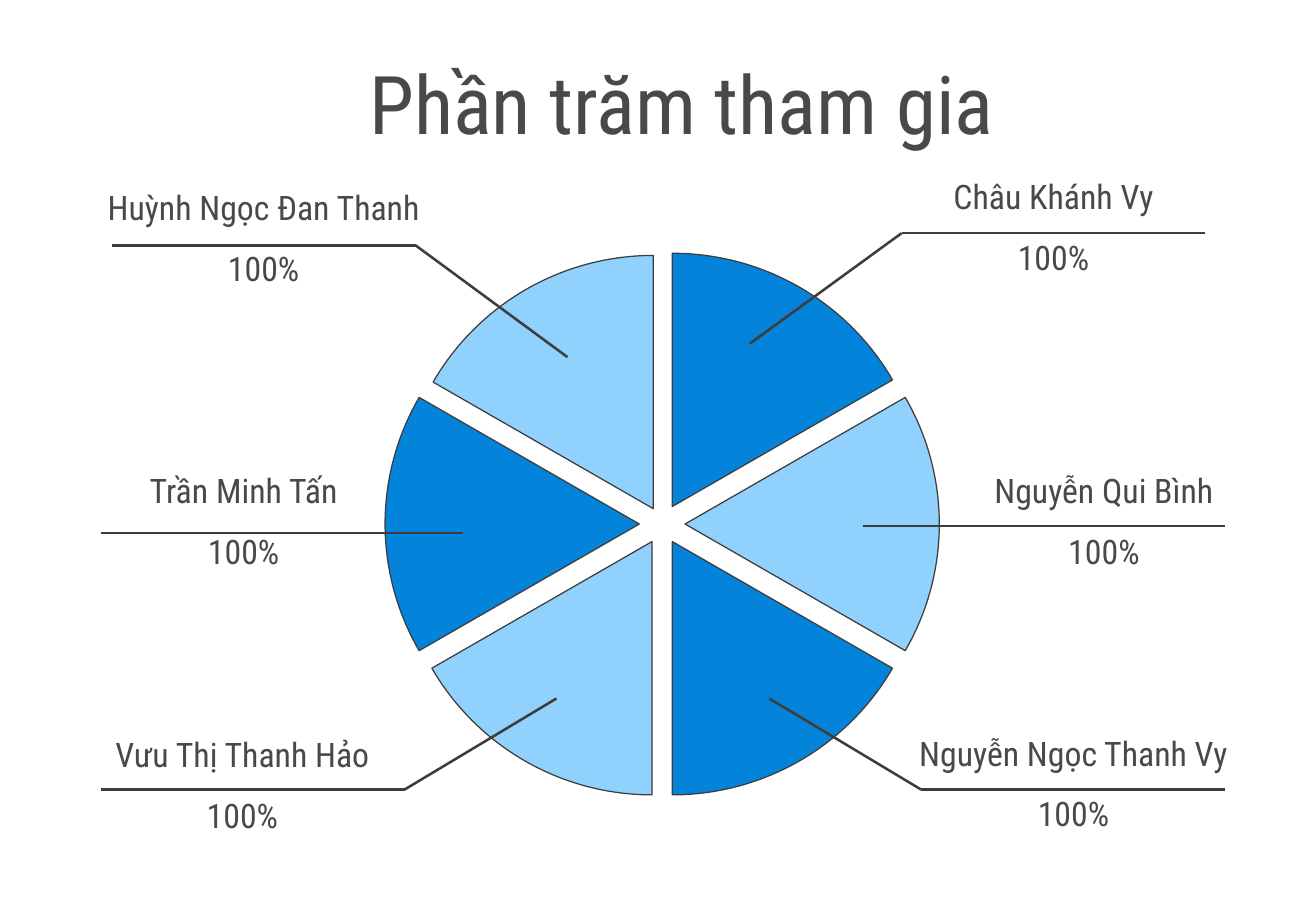
from lxml.etree import SubElement
from pptx import Presentation
from pptx.chart.data import CategoryChartData
from pptx.dml.color import RGBColor
from pptx.enum.chart import XL_CHART_TYPE
from pptx.enum.shapes import MSO_CONNECTOR
from pptx.enum.text import MSO_ANCHOR, PP_ALIGN
from pptx.oxml import parse_xml
from pptx.oxml.ns import nsdecls, qn
from pptx.util import Inches, Pt

GREY = RGBColor(0x49, 0x49, 0x49)
DARK = RGBColor(0x3D, 0x3D, 0x3D)
BLUE = RGBColor(0x03, 0x83, 0xD9)
SKY = RGBColor(0x90, 0xD1, 0xFD)

NAMES = [
    ("Trần Minh Tấn", 0.83, 3.75, 2.35),
    ("Nguyễn Qui Bình", 7.83, 3.75, 2.51),
    ("Nguyễn Ngọc Thanh Vy", 7.37, 5.91, 2.93),
    ("Châu Khánh Vy", 7.33, 1.33, 2.68),
    ("Huỳnh Ngọc Đan Thanh", 0.71, 1.42, 2.92),
    ("Vưu Thị Thanh Hảo", 0.57, 5.92, 2.85),
]
LEADS = [
    [(6.17, 2.83), (7.42, 1.92), (9.92, 1.92)],
    [(6.33, 5.75), (7.58, 6.5), (10.08, 6.5)],
    [(7.1, 4.33), (10.08, 4.33)],
    [(4.67, 2.94), (3.42, 2.02), (0.92, 2.02)],
    [(4.58, 5.75), (3.33, 6.5), (0.83, 6.5)],
    [(3.81, 4.39), (0.83, 4.39)],
]
BURSTS = [8, 9, 8, 8, 9, 7]
PLOT = {"x": 0.19, "y": 0.03, "w": 0.62, "h": 0.93}


class Page:
    """Draws each kind of element on one slide in a shared style."""

    def __init__(self, slide, font="Roboto Condensed"):
        self.slide = slide
        self.font = font

    def text(self, lines, left, top, width, size, gap=0, anchor=MSO_ANCHOR.TOP):
        box = self.slide.shapes.add_textbox(
            Inches(left), Inches(top), Inches(width), Inches(0.84))
        frame = box.text_frame
        frame.word_wrap = True
        frame.vertical_anchor = anchor
        frame.margin_left = frame.margin_right = Inches(0.12)
        frame.margin_top = frame.margin_bottom = Inches(0.12)
        frame.text = "\n".join(lines)
        for para in frame.paragraphs:
            para.alignment = PP_ALIGN.CENTER
            para.space_before = para.space_after = Pt(gap)
            para.font.name = self.font
            para.font.size = Pt(size)
            para.font.color.rgb = GREY

    def pie(self, left, top, width, height):
        data = CategoryChartData()
        data.categories = [str(i + 1) for i in range(len(BURSTS))]
        data.add_series("Series 1", [17] * len(BURSTS))
        chart = self.slide.shapes.add_chart(
            XL_CHART_TYPE.PIE, Inches(left), Inches(top),
            Inches(width), Inches(height), data).chart
        chart.has_legend = chart.has_title = False
        chart.font.name = "Arial"
        chart.font.size = Pt(18)
        chart.font.color.rgb = DARK
        plot = chart.plots[0]
        plot.vary_by_categories = False
        for i in range(len(BURSTS)):
            form = plot.series[0].points[i].format
            form.fill.solid()
            form.fill.fore_color.rgb = SKY if i % 2 else BLUE
            form.line.color.rgb = DARK
            form.line.width = Pt(0.75)
        for slice_, burst in zip(chart.element.iter(qn("c:dPt")), BURSTS):
            slice_.find(qn("c:spPr")).addprevious(
                parse_xml(f'<c:explosion {nsdecls("c")} val="{burst}"/>'))
        area = next(chart.element.iter(qn("c:plotArea")))
        for old in area.findall(qn("c:layout")):
            area.remove(old)
        layout = parse_xml(f'<c:layout {nsdecls("c")}/>')
        rule = SubElement(layout, qn("c:manualLayout"))
        SubElement(rule, qn("c:layoutTarget")).set("val", "inner")
        for axis in "xy":
            SubElement(rule, qn(f"c:{axis}Mode")).set("val", "edge")
        for key, part in PLOT.items():
            SubElement(rule, qn(f"c:{key}")).set("val", str(part))
        area.insert(0, layout)

    def lead(self, spots):
        for start, end in zip(spots, spots[1:]):
            line = self.slide.shapes.add_connector(
                MSO_CONNECTOR.STRAIGHT, *map(Inches, start + end))
            line.line.color.rgb = DARK
            line.line.width = Pt(1.5)
            SubElement(line._element.spPr, qn("a:effectLst"))


def main():
    deck = Presentation()
    deck.slide_width = Inches(10.83)
    deck.slide_height = Inches(7.5)
    page = Page(deck.slides.add_slide(deck.slide_layouts[6]))
    page.text(["Phần trăm tham gia"], 2.75, 0.42, 5.72, 48, anchor=MSO_ANCHOR.MIDDLE)
    for name, left, top, width in NAMES:
        page.text([name, "100%"], left, top, width, 20, gap=6)
    page.pie(2.07, 2.08, 6.76, 4.5)
    for spots in LEADS:
        page.lead(spots)
    deck.save("out.pptx")


if __name__ == "__main__":
    main()
